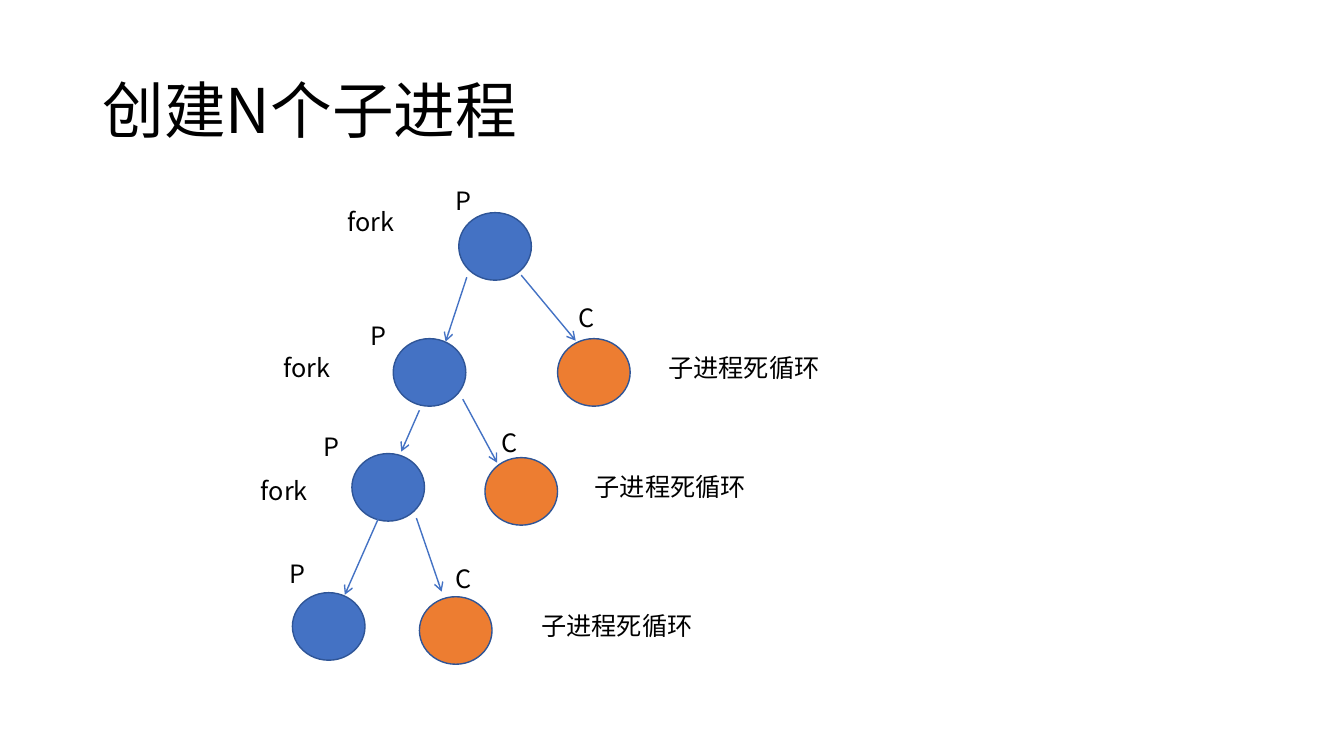
"""Draw the process tree that repeated fork calls create."""
from pptx import Presentation, util as u
from pptx.dml.color import RGBColor
from pptx.enum import shapes, text
from pptx.oxml.ns import qn
from lxml import etree

TITLE = "创建N个子进程"
LOOP = "子进程死循环"
FONT = "Noto Sans CJK SC"
HUE = {"parent": "4472C4", "child": "ED7D31", "edge": "2F5597", "ink": "000000"}
COLS, ROWS = 13.33, 7.5
DISC = (0.72, 0.67)
HIGH = 0.4

NODES = [
    ("parent", 4.55, 2.11),
    ("parent", 3.9, 3.36), ("child", 5.53, 3.36),
    ("parent", 3.49, 4.5), ("child", 4.81, 4.54),
    ("parent", 2.9, 5.88), ("child", 4.16, 5.92),
]
ARROWS = [
    (4.63, 2.75, 4.42, 3.39), (5.17, 2.73, 5.71, 3.38),
    (4.16, 4.07, 3.98, 4.48), (4.59, 3.96, 4.93, 4.59),
    (3.75, 5.15, 3.42, 5.9), (4.13, 5.14, 4.38, 5.87),
]
LABELS = {
    "P": (0.47, [(4.42, 1.79), (3.58, 3.13), (3.11, 4.23), (2.77, 5.49)]),
    "C": (0.8, [(5.64, 2.95), (4.88, 4.19), (4.42, 5.54)]),
    "fork": (0.95, [(3.35, 2), (2.71, 3.45), (2.49, 4.67)]),
    LOOP: (1.95, [(6.53, 3.45), (5.8, 4.63), (5.27, 6.01)]),
}

deck = Presentation()
deck.slide_width, deck.slide_height = u.Inches(COLS), u.Inches(ROWS)
slide = deck.slides.add_slide(deck.slide_layouts[6])


def grid(*cells):
    """Turn grid cells into slide lengths, one inch to a cell."""
    return [u.Inches(c) for c in cells]


def tint(name):
    """Look up a colour by name."""
    return RGBColor.from_string(HUE[name])


def write(words, *box, size=18, anchor=text.MSO_ANCHOR.TOP, lead=1.0):
    """Place one line of text in a box."""
    frame = slide.shapes.add_textbox(*grid(*box)).text_frame
    frame.word_wrap = True
    frame.vertical_anchor = anchor
    para = frame.paragraphs[0]
    para.line_spacing = lead
    run = para.add_run()
    run.text = words
    run.font.size = u.Pt(size)
    run.font.name = FONT
    run.font.color.rgb = tint("ink")
    etree.SubElement(run.font._element, qn("a:ea"), typeface=FONT)


def disc(kind, x, y):
    """Draw one process."""
    oval = slide.shapes.add_shape(shapes.MSO_SHAPE.OVAL, *grid(x, y, *DISC))
    oval.shadow.inherit = False
    oval.fill.solid()
    oval.fill.fore_color.rgb = tint(kind)
    oval.line.color.rgb = tint("edge")
    oval.line.width = u.Pt(1)


def arrow(*ends):
    """Draw an open arrow from a process to the next one."""
    link = slide.shapes.add_connector(shapes.MSO_CONNECTOR.STRAIGHT, *grid(*ends))
    link.line.color.rgb = tint("parent")
    link.line.width = u.Pt(1)
    etree.SubElement(link.line._get_or_add_ln(), qn("a:tailEnd"), type="arrow")
    etree.SubElement(link._element.spPr, qn("a:effectLst"))


write(TITLE, 0.92, 0.4, 11.5, 1.45, size=44, anchor=text.MSO_ANCHOR.MIDDLE, lead=0.9)
for node in NODES:
    disc(*node)
for ends in ARROWS:
    arrow(*ends)
for words, (wide, spots) in LABELS.items():
    for x, y in spots:
        write(words, x, y, wide, HIGH)

deck.save("out.pptx")
